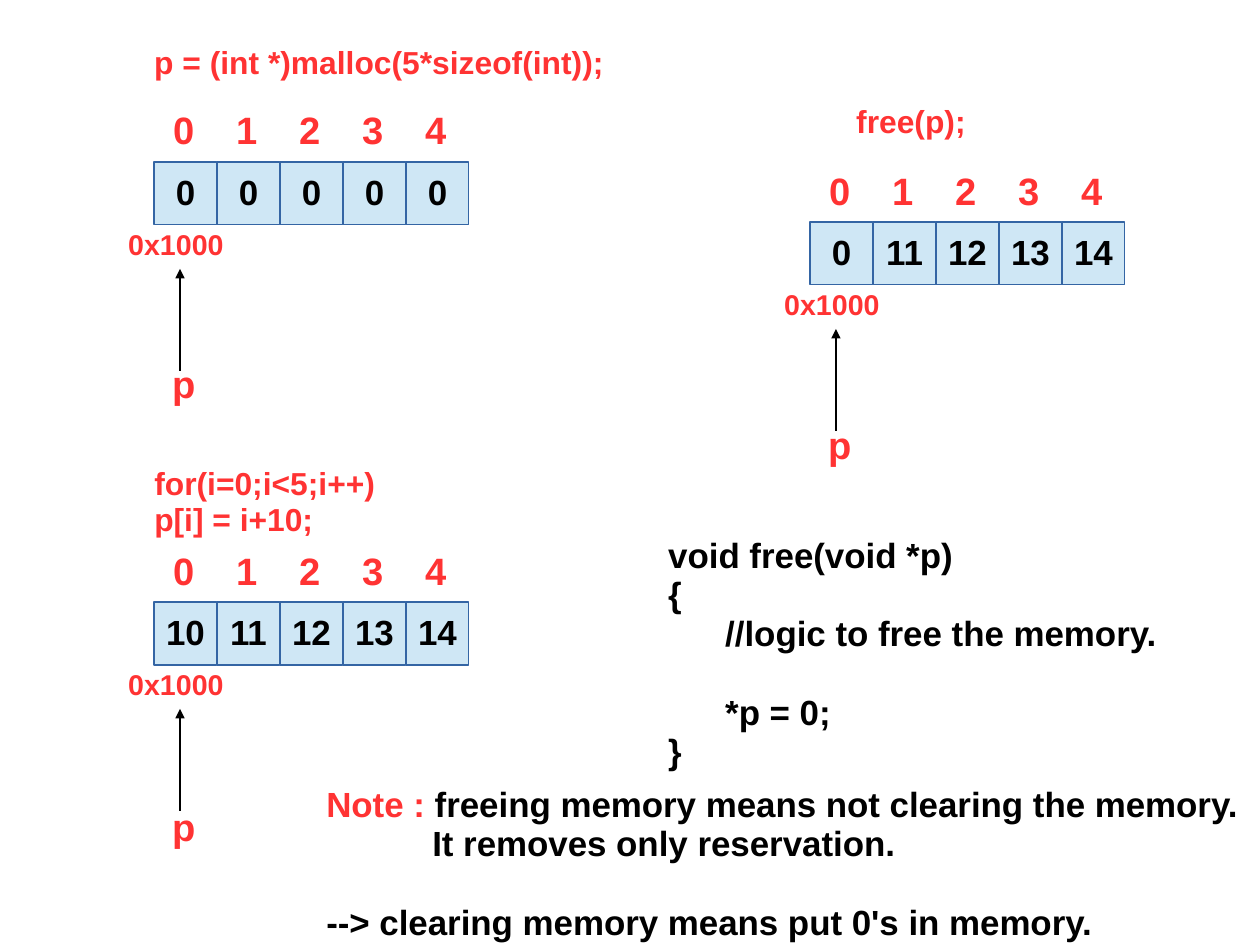
from typing import NamedTuple
from lxml import etree
from pptx import Presentation
from pptx import util as u
from pptx.dml.color import RGBColor
from pptx.enum import shapes, text
from pptx.oxml import ns

RED = RGBColor(0xFF, 0x33, 0x33)
BLACK = RGBColor(0, 0, 0)
BLUE = RGBColor(0x34, 0x65, 0xA4)
PALE = RGBColor(0xCF, 0xE7, 0xF5)
FONT = "Arial"
PX = 8000  # EMU in one pixel
CELL = 63
LEFT, MID = text.PP_ALIGN.LEFT, text.PP_ALIGN.CENTER


class Line(NamedTuple):
    words: str
    indent: int = 0
    gap: float = 0  # points above
    lead: str = ""  # red opening words


class Block(NamedTuple):
    x: int
    y: int
    w: int
    h: int
    lines: list[Line]
    size: int
    color: RGBColor


class Array(NamedTuple):
    x: int
    y: int
    vals: list[int]
    drop: int  # from the cells' top to the pointer's name


def px(n: float) -> u.Emu:
    return u.Emu(round(n * PX))


prs = Presentation()
prs.slide_width, prs.slide_height = px(1260), px(945)
slide = prs.slides.add_slide(prs.slide_layouts[6])


def style(para, size: int, color: RGBColor, align=LEFT) -> None:
    para.alignment = align
    para.line_spacing = 0.94
    for run in para.runs:
        font = run.font
        font.name, font.size, font.bold = FONT, u.Pt(size), True
        font.color.rgb = color


def write(block: Block) -> None:
    box = slide.shapes.add_textbox(*map(px, block[:4]))
    frame = box.text_frame
    frame.word_wrap = True
    frame.text = "\n".join(line.lead or line.words for line in block.lines)
    for para, line in zip(frame.paragraphs, block.lines):
        if line.lead:
            para.add_run().text = line.words
        style(para, block.size, block.color)
        if line.lead:
            para.runs[0].font.color.rgb = RED
        if line.gap:
            para.space_before = u.Pt(line.gap)
        if line.indent:
            para._p.get_or_add_pPr().set("marL", str(px(line.indent)))


def label(x: int, y: int, w: int, h: int, words: str, size: int) -> None:
    write(Block(x, y, w, h, [Line(words)], size, RED))


def cell(x: int, y: int, val: int) -> None:
    box = slide.shapes.add_shape(shapes.MSO_SHAPE.RECTANGLE,
                                 px(x), px(y), px(CELL), px(CELL))
    box.shadow.inherit = False
    box.fill.solid()
    box.fill.fore_color.rgb = PALE
    box.line.color.rgb = BLUE
    box.line.width = u.Pt(0.74)
    frame = box.text_frame
    frame.word_wrap = False
    frame.vertical_anchor = text.MSO_ANCHOR.MIDDLE
    frame.text = str(val)
    style(frame.paragraphs[0], 22, BLACK, MID)


def arrow(x: int, foot: int, tip: int) -> None:
    link = slide.shapes.add_connector(shapes.MSO_CONNECTOR.STRAIGHT,
                                      px(x), px(foot), px(x), px(tip))
    link.line.color.rgb = BLACK
    link.line.width = u.Pt(0.74)
    etree.SubElement(link.line._get_or_add_ln(), ns.qn("a:tailEnd"), type="triangle")
    etree.SubElement(link._element.spPr, ns.qn("a:effectLst"))


def draw(row: Array) -> None:
    x, y = row.x, row.y
    for i, val in enumerate(row.vals):
        cell(x + i * CELL, y, val)
        label(x + 8 + i * CELL, y - 57, 43, 57, str(i), 24)
    label(x - 37, y + 62, 118, 46, "0x1000", 18)
    arrow(x + 26, y + 209, y + 107)
    label(x + 7, y + row.drop, 46, 57, "p", 24)


# Arrays with index, address and pointer
ARRAYS = [
    Array(154, 162, [0] * 5, 196),
    Array(154, 602, [10, 11, 12, 13, 14], 199),
    Array(810, 222, [0, 11, 12, 13, 14], 197),
]
for row in ARRAYS:
    draw(row)

# Statements, function body and note
BLOCKS = [
    Block(143, 40, 568, 49, [Line("p = (int *)malloc(5*sizeof(int));")], 20, RED),
    Block(143, 461, 265, 84, [Line("for(i=0;i<5;i++)"), Line("p[i] = i+10;")], 20, RED),
    Block(845, 99, 154, 49, [Line("free(p);")], 20, RED),
    Block(657, 531, 511, 250, [
        Line("void free(void *p)"),
        Line("{"),
        Line("//logic to free the memory.", 57),
        Line("*p = 0;", 57, 24.8),
        Line("}"),
    ], 22, BLACK),
    Block(315, 780, 940, 171, [
        Line(" freeing memory means not clearing the memory.", lead="Note :"),
        Line("It removes only reservation.", 106),
        Line("--> clearing memory means put 0's in memory.", gap=24.8),
    ], 22, BLACK),
]
for block in BLOCKS:
    write(block)

prs.save("out.pptx")
